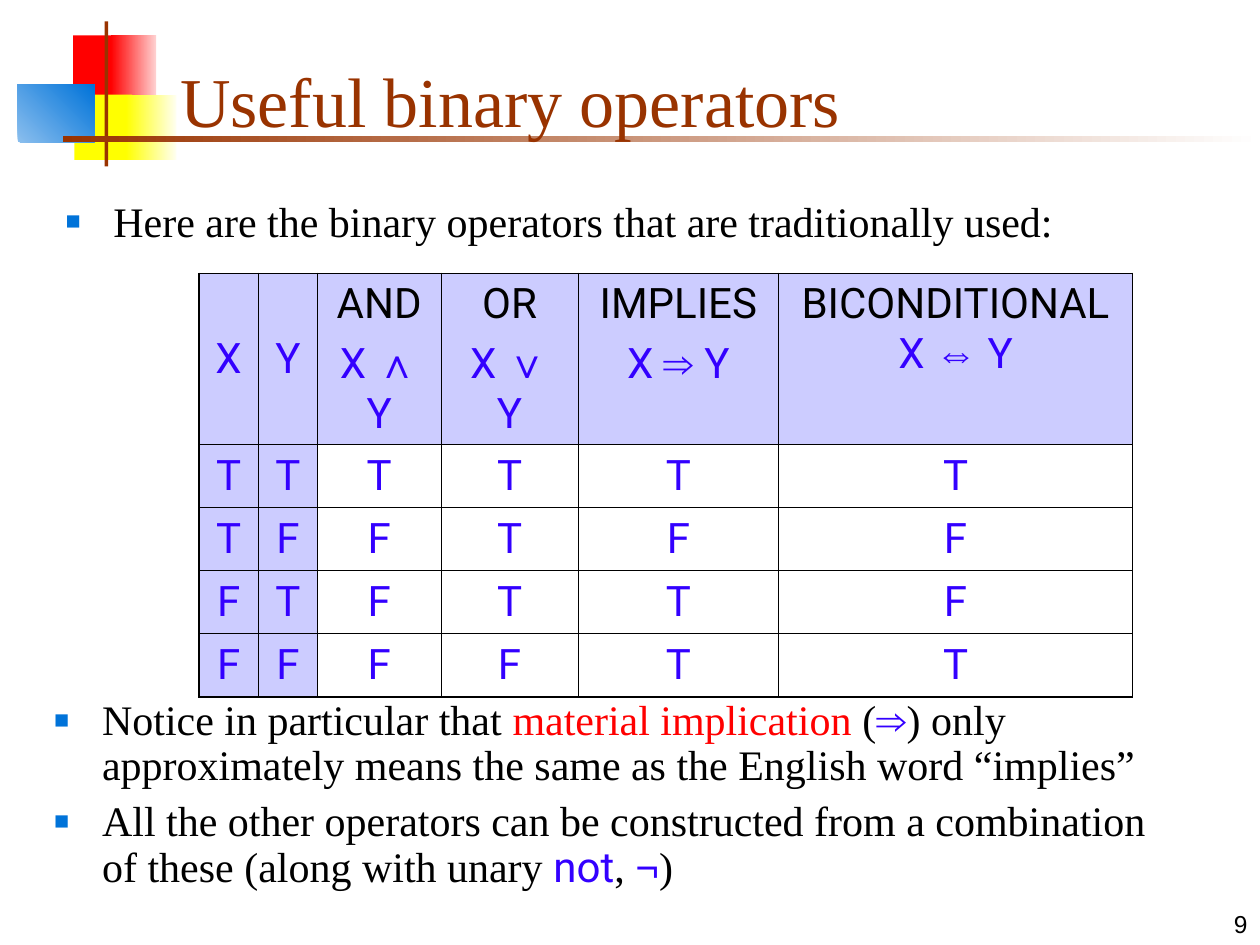
from lxml.etree import SubElement
from pptx import Presentation
from pptx.dml.color import RGBColor
from pptx.enum.shapes import MSO_SHAPE
from pptx.enum.text import MSO_ANCHOR, MSO_AUTO_SIZE, PP_ALIGN
from pptx.oxml.ns import qn
from pptx.util import Inches, Pt

SERIF, SANS, SYMBOL = "Times New Roman", "Roboto", "Arial"
BLACK, BROWN, BLUE, LAVENDER = "000000", "993300", "3300FF", "CCCCFF"
RED, YELLOW, BULLET_BLUE = "FF0000", "FFFF00", "0073D9"

color = RGBColor.from_string


def add_run(paragraph, text, font_name, font_color, size=24, bold=False):
    run = paragraph.add_run()
    run.text = text
    run.font.name = font_name
    run.font.size = Pt(size)
    run.font.bold = bold
    run.font.color.rgb = color(font_color)


def add_square_bullet(paragraph):
    properties = paragraph._p.get_or_add_pPr()
    properties.set("marL", str(Inches(0.38)))
    properties.set("indent", str(-Inches(0.38)))
    bullet_color = SubElement(properties, qn("a:buClr"))
    SubElement(bullet_color, qn("a:srgbClr"), val=BULLET_BLUE)
    SubElement(properties, qn("a:buSzPct"), val="60000")
    SubElement(properties, qn("a:buFont"), typeface=SYMBOL)
    SubElement(properties, qn("a:buChar"), char="■")


presentation = Presentation()
presentation.slide_width = Inches(10)
presentation.slide_height = Inches(7.5)
slide = presentation.slides.add_slide(presentation.slide_layouts.get_by_name("Two Content"))
title, intro, remarks = slide.placeholders

# Decoration behind the title: left, top, width, height, colours, gradient angle
decorations = [
    (0.58, 0.28, 0.35, 0.52, [RED], 0),
    (0.88, 0.28, 0.36, 0.52, [RED, "FFD1D1"], 0),
    (0.59, 0.75, 0.46, 0.52, [YELLOW], 0),
    (1, 0.75, 0.4, 0.52, [YELLOW, "FFFFF0"], 0),
    (0.14, 0.67, 0.61, 0.46, ["8BBFEE", BULLET_BLUE], 45),
    (0.83, 0.17, 0.03, 1.15, [BROWN], 0),
    (0.5, 1.08, 9.5, 0.05, [BROWN, "FFFFFF"], 0),
]
for left, top, width, height, colors, angle in decorations:
    shape = slide.shapes.add_shape(
        MSO_SHAPE.RECTANGLE, Inches(left), Inches(top), Inches(width), Inches(height))
    shape.shadow.inherit = False
    shape.line.fill.background()
    if len(colors) == 1:
        shape.fill.solid()
        shape.fill.fore_color.rgb = color(colors[0])
    else:
        shape.fill.gradient()
        shape.fill.gradient_angle = angle
        for stop, stop_color in zip(shape.fill.gradient_stops, colors):
            stop.color.rgb = color(stop_color)
    title.element.addprevious(shape.element)

# Title, lists and page number
page_number = slide.shapes.add_textbox(0, 0, 0, 0)
boxes = [
    (title, 1.33, 0.25, 8.52, 0.92, MSO_ANCHOR.BOTTOM),
    (intro, 0.42, 1.5, 9.17, 1.58, MSO_ANCHOR.TOP),
    (remarks, 0.33, 5.5, 8.92, 1.67, MSO_ANCHOR.TOP),
    (page_number, 7.92, 7, 2.08, 0.5, MSO_ANCHOR.BOTTOM),
]
for box, left, top, width, height, anchor in boxes:
    box.left, box.top = Inches(left), Inches(top)
    box.width, box.height = Inches(width), Inches(height)
    box.text_frame.word_wrap = True
    box.text_frame.auto_size = MSO_AUTO_SIZE.NONE
    box.text_frame.vertical_anchor = anchor

paragraph = title.text_frame.paragraphs[0]
paragraph.alignment = PP_ALIGN.LEFT
add_run(paragraph, "Useful binary operators", SERIF, BROWN, 40)

paragraph = page_number.text_frame.paragraphs[0]
paragraph.alignment = PP_ALIGN.RIGHT
add_run(paragraph, "9", SYMBOL, BLACK, 14)

paragraph = intro.text_frame.paragraphs[0]
add_square_bullet(paragraph)
paragraph.space_before = Pt(0)
add_run(paragraph, "Here are the binary operators that are traditionally used:", SERIF, BLACK)

remark_runs = [
    [
        ("Notice in particular that ", SERIF, BLACK),
        ("material implication", SERIF, RED),
        (" (", SERIF, BLACK),
        ("⇒", SYMBOL, BLUE),
        (") only approximately means the same as the English word “implies”", SERIF, BLACK),
    ],
    [
        ("All the other operators can be constructed from a combination of these "
         "(along with unary ", SERIF, BLACK),
        ("not", SANS, BLUE),
        (", ", SERIF, BLACK),
        ("¬", SERIF, BLUE, 24, True),
        (")", SERIF, BLACK),
    ],
]
for index, runs in enumerate(remark_runs):
    frame = remarks.text_frame
    paragraph = frame.add_paragraph() if index else frame.paragraphs[0]
    add_square_bullet(paragraph)
    paragraph.line_spacing = 0.9
    paragraph.space_before = Pt(6 if index else 0)
    for run in runs:
        add_run(paragraph, *run)

# Truth table
operators = [("AND", "∧"), ("OR", "∨"), ("IMPLIES", "⇒"), ("BICONDITIONAL", "⇔")]
truth_rows = ["TTTTTT", "TFFTFF", "FTFTTF", "FFFFTT"]
column_widths = [0.47, 0.47, 0.98, 1.09, 1.59, 2.81]
row_heights = [0.99] + [0.5] * len(truth_rows)
last_row, last_column = len(row_heights) - 1, len(column_widths) - 1

table = slide.shapes.add_table(
    len(row_heights), len(column_widths),
    Inches(1.58), Inches(2.17), Inches(7.42), Inches(2.98)).table
table.first_row = table.horz_banding = False
for column, width in zip(table.columns, column_widths):
    column.width = Inches(width)
for row, height in zip(table.rows, row_heights):
    row.height = Inches(height)

for row in range(last_row + 1):
    for column in range(last_column + 1):
        cell = table.cell(row, column)
        outer_edges = {"L": column == 0, "R": column == last_column,
                       "T": row == 0, "B": row == last_row}
        for side, is_outer in outer_edges.items():
            border = SubElement(cell._tc.get_or_add_tcPr(), qn(f"a:ln{side}"),
                                w=str(Pt(1.08 if is_outer else 0.45)))
            border_fill = SubElement(border, qn("a:solidFill"))
            SubElement(border_fill, qn("a:srgbClr"), val=BLACK)
        if row == 0 or column < 2:
            cell.fill.solid()
            cell.fill.fore_color.rgb = color(LAVENDER)
        else:
            cell.fill.background()

        paragraph = cell.text_frame.paragraphs[0]
        paragraph.alignment = PP_ALIGN.CENTER
        if row > 0:
            add_run(paragraph, truth_rows[row - 1][column], SANS, BLUE)
        elif column < 2:
            cell.vertical_anchor = MSO_ANCHOR.MIDDLE
            add_run(paragraph, "XY"[column], SANS, BLUE)
        else:
            name, symbol = operators[column - 2]
            add_run(paragraph, name, SANS, BLACK)
            if column == last_column:
                paragraph.add_line_break()
            else:
                paragraph = cell.text_frame.add_paragraph()
                paragraph.alignment = PP_ALIGN.CENTER
                paragraph.space_before = Pt(6)
            add_run(paragraph, "X ", SANS, BLUE)
            add_run(paragraph, symbol, SYMBOL, BLUE)
            add_run(paragraph, " Y", SANS, BLUE)

presentation.save("out.pptx")
